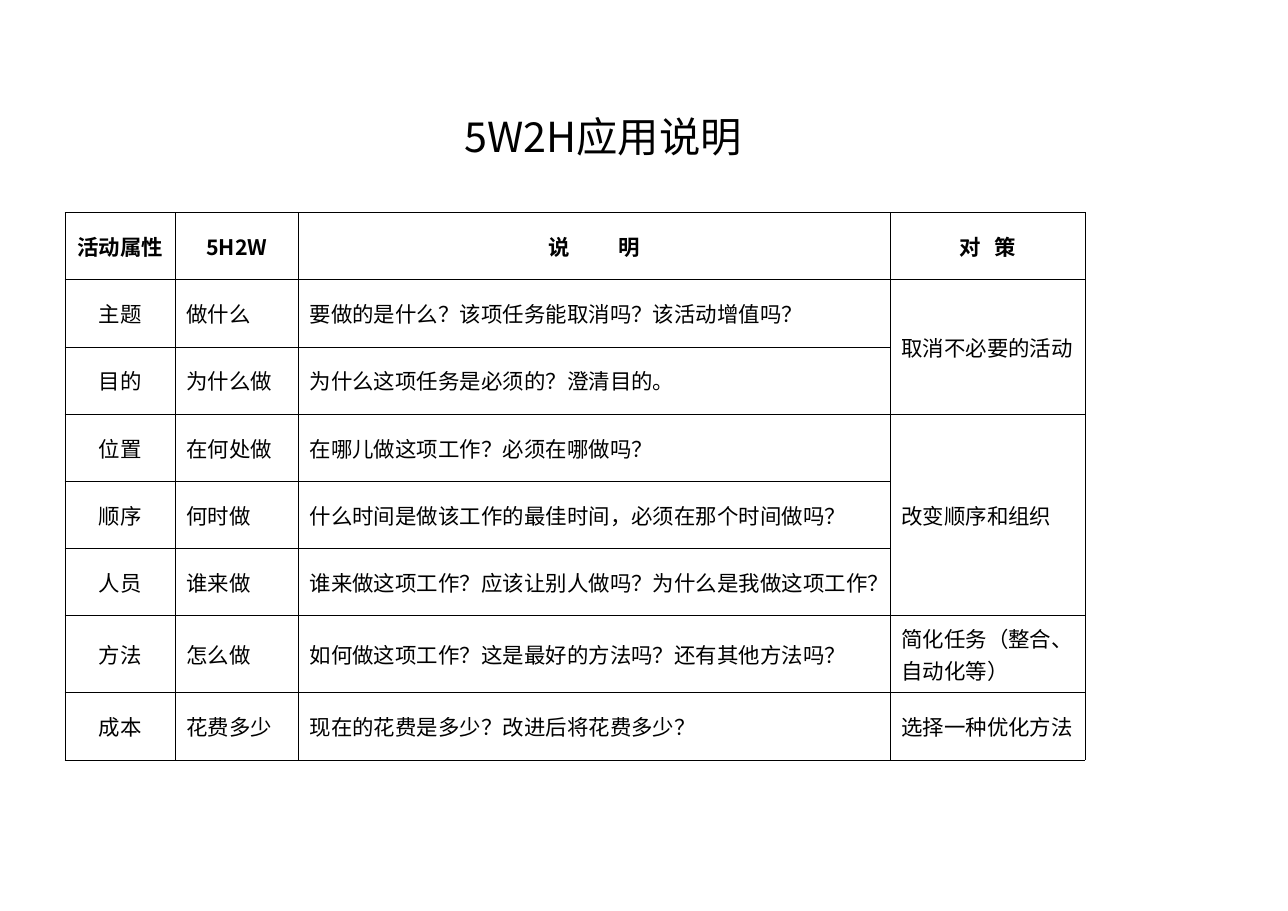
from lxml import etree
from pptx import Presentation
from pptx import util as u
from pptx.dml.color import RGBColor
from pptx.enum import text
from pptx.oxml.ns import qn

FONT = "Noto Sans CJK SC"
COLORS = {"ink": "000000"}


def style_run(r, size, bold=False):
    r.font.size, r.font.bold, r.font.name = u.Pt(size), bold, FONT
    r.font.color.rgb = RGBColor.from_string(COLORS["ink"])
    etree.SubElement(r.font._element, qn("a:ea"), typeface=FONT)


def add_borders(cell):
    tcPr = cell._tc.get_or_add_tcPr()
    for side in ("lnL", "lnR", "lnT", "lnB"):
        ln = etree.SubElement(tcPr, qn(f"a:{side}"), w=str(u.Pt(0.45)))
        fill = etree.SubElement(ln, qn("a:solidFill"))
        etree.SubElement(fill, qn("a:srgbClr"), val=COLORS["ink"])


prs = Presentation()
prs.slide_width, prs.slide_height = u.Inches(11.69), u.Inches(8.27)
s = prs.slides.add_slide(prs.slide_layouts[5])

# Title
title = s.shapes.title
title.left, title.top = u.Inches(1.7), u.Inches(0.95)
title.width, title.height = u.Inches(7.55), u.Inches(0.69)
tf = title.text_frame
tf.text = "5W2H应用说明"
tf.auto_size = text.MSO_AUTO_SIZE.NONE
tf.vertical_anchor = text.MSO_ANCHOR.TOP
tf.margin_left = tf.margin_right = u.Inches(0.11)
tf.margin_top = tf.margin_bottom = u.Inches(0.06)
p = tf.paragraphs[0]
p.alignment = text.PP_ALIGN.CENTER
style_run(p.runs[0], 27)

# Table contents; an empty string belongs to the merged cell above
rows = [
    ("活动属性", "5H2W", "说 明", "对 策"),
    ("主题", "做什么", "要做的是什么？该项任务能取消吗？该活动增值吗？", "取消不必要的活动"),
    ("目的", "为什么做", "为什么这项任务是必须的？澄清目的。", ""),
    ("位置", "在何处做", "在哪儿做这项工作？必须在哪做吗？", "改变顺序和组织"),
    ("顺序", "何时做", "什么时间是做该工作的最佳时间，必须在那个时间做吗？", ""),
    ("人员", "谁来做", "谁来做这项工作？应该让别人做吗？为什么是我做这项工作？", ""),
    ("方法", "怎么做", "如何做这项工作？这是最好的方法吗？还有其他方法吗？", "简化任务（整合、自动化等）"),
    ("成本", "花费多少", "现在的花费是多少？改进后将花费多少？", "选择一种优化方法"),
]
col_widths = [1, 1.12, 5.37, 1.77]
row_heights = [0.61] * 6 + [0.7, 0.61]
header_gaps = {2: 28.2, 3: 6.2}  # extra points between the two characters

# Table grid
table = s.shapes.add_table(len(rows), len(col_widths), u.Inches(0.59), u.Inches(1.93),
                           u.Inches(sum(col_widths)), u.Inches(sum(row_heights))).table
table.first_row = table.horz_banding = False
for col, width in zip(table.columns, col_widths):
    col.width = u.Inches(width)
for row, height in zip(table.rows, row_heights):
    row.height = u.Inches(height)
for first, last in ((1, 2), (3, 5)):
    table.cell(first, 3).merge(table.cell(last, 3))

# Cells
for i, row in enumerate(rows):
    for j, words in enumerate(row):
        cell = table.cell(i, j)
        add_borders(cell)
        cell.fill.background()
        cell.vertical_anchor = text.MSO_ANCHOR.MIDDLE
        cell.margin_left = cell.margin_right = u.Inches(0.1)
        cell.margin_top = cell.margin_bottom = u.Inches(0.05)
        p = cell.text_frame.paragraphs[0]
        centred = i == 0 or j == 0
        p.alignment = text.PP_ALIGN.CENTER if centred else text.PP_ALIGN.LEFT
        for part in filter(None, words.partition(" ")):
            r = p.add_run()
            r.text = part
            style_run(r, 14, bold=i == 0)
            if part == " ":
                r.font._element.set("spc", str(round(header_gaps[j] * 100)))

prs.save("out.pptx")
